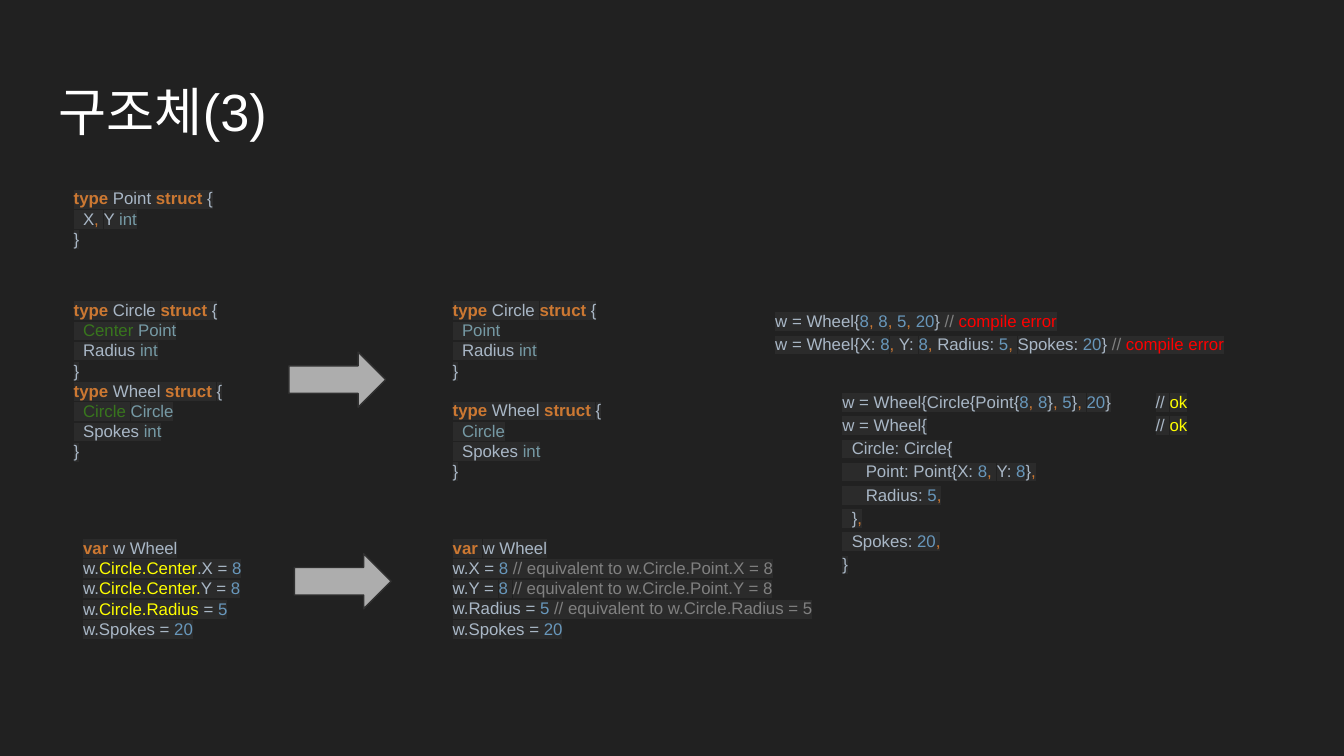
"""Build a dark slide that compares plain and embedded Go structs."""
from typing import NamedTuple

from lxml import etree
from pptx import Presentation
from pptx.dml.color import RGBColor
from pptx.enum import shapes, text
from pptx.oxml import ns
from pptx.util import Inches, Pt

CELL = Inches(0.1)
COLUMNS, ROWS = 100, 56.25
FONT = "Arial"
BACKGROUND = RGBColor(0x21, 0x21, 0x21)
WHITE = RGBColor(0xFF, 0xFF, 0xFF)
HIGHLIGHT = RGBColor(0x2B, 0x2B, 0x2B)
ARROW_FILL = RGBColor(0xAD, 0xAD, 0xAD)
ARROW_LINE = RGBColor(0x30, 0x30, 0x30)
PLAIN = RGBColor(0xA9, 0xB7, 0xC6)
KEYWORD = RGBColor(0xCC, 0x78, 0x32)
INKS = {
    "key": KEYWORD,
    "sep": KEYWORD,
    "type": RGBColor(0x76, 0x9A, 0xA5),
    "field": RGBColor(0x38, 0x76, 0x1D),
    "num": RGBColor(0x68, 0x97, 0xBB),
    "note": RGBColor(0x80, 0x80, 0x80),
    "mark": RGBColor(0xFF, 0xFF, 0x00),
    "error": RGBColor(0xFF, 0x00, 0x00),
}


class Area(NamedTuple):
    """A rectangle in grid columns and rows."""

    left: float
    top: float
    width: float
    height: float

    def emu(self) -> list[int]:
        """Return the rectangle in slide units."""
        return [round(value * CELL) for value in self]


class Line(NamedTuple):
    """A code line: spans split by "|", each with an optional "ink~" prefix."""

    markup: str
    tabs: tuple[float, ...] = ()
    space_before: float = 0


class Code(NamedTuple):
    """A block of code lines."""

    area: Area
    lines: list[Line]
    indent: float = 0
    line_spacing: float = 1.0


def struct(name: str, *members: str, space_before: float = 0) -> list[Line]:
    """Return the lines of a struct declaration."""
    head = Line(f"key~type |{name} |key~struct |{{", space_before=space_before)
    return [head, *(Line(f"  |{member}") for member in members), Line("}")]


def numbers(*values: int) -> str:
    """Return comma-separated numbers as markup."""
    return "|sep~, |".join(f"num~{value}" for value in values)


def add_box(page, area: Area):
    """Add a wrapping text box and return its text frame."""
    frame = page.shapes.add_textbox(*area.emu()).text_frame
    frame.word_wrap = True
    frame.margin_left = frame.margin_right = CELL
    frame.margin_top = frame.margin_bottom = CELL
    return frame


def add_span(para, markup: str) -> None:
    """Add one highlighted span of code."""
    ink, mark, words = markup.rpartition("~")
    span = para.add_run()
    span.text = words
    span.font.color.rgb = INKS[ink] if mark else PLAIN
    if ink == "key":
        span.font.bold = True
    highlight = etree.SubElement(span.font._element, ns.qn("a:highlight"))
    etree.SubElement(highlight, ns.qn("a:srgbClr"), val=str(HIGHLIGHT))


def add_code(page, code: Code) -> None:
    """Draw a block of code, one paragraph a line."""
    frame = add_box(page, code.area)
    for number, line in enumerate(code.lines):
        para = frame.add_paragraph() if number else frame.paragraphs[0]
        para.line_spacing = code.line_spacing
        para.space_before = Pt(line.space_before)
        properties = para._p.get_or_add_pPr()
        properties.set("indent", str(round(code.indent * CELL)))
        if line.tabs:
            stops = etree.SubElement(properties, ns.qn("a:tabLst"))
            for tab in line.tabs:
                etree.SubElement(stops, ns.qn("a:tab"), pos=str(round(tab * CELL)), algn="l")
        para.font.name = FONT
        para.font.size = Pt(9)
        for markup in line.markup.split("|"):
            add_span(para, markup)


def add_title(page, words: str) -> None:
    """Draw the slide title."""
    para = add_box(page, Area(3.4, 4.9, 93.2, 6.3)).paragraphs[0]
    para.text = words
    para.font.name = FONT
    para.font.size = Pt(28)
    para.font.color.rgb = WHITE


def add_arrow(page, area: Area) -> None:
    """Draw a block arrow pointing right."""
    arrow = page.shapes.add_shape(shapes.MSO_SHAPE.RIGHT_ARROW, *area.emu())
    arrow.shadow.inherit = False
    arrow.fill.solid()
    arrow.fill.fore_color.rgb = ARROW_FILL
    arrow.line.color.rgb = ARROW_LINE
    arrow.line.width = Pt(0.75)
    arrow.text_frame.vertical_anchor = text.MSO_ANCHOR.MIDDLE


RADIUS = "Radius |type~int"
SPOKES = "Spokes |type~int"
DECLARE = Line("key~var |w Wheel")
SET_SPOKES = Line("w.Spokes = |num~20")
ERROR = "|} |note~// |error~compile error"
EQUIVALENT = "|note~// equivalent to w.Circle."

CODES = [
    Code(Area(4.5, 13, 32.1, 14.3), struct("Point", "X|sep~, |Y |type~int")),
    Code(Area(4.5, 21.3, 32.1, 14.3),
         struct("Circle", "field~Center| |type~Point", RADIUS)
         + struct("Wheel", "field~Circle |type~Circle", SPOKES)),
    Code(Area(32.7, 21.3, 32.1, 14.3),
         struct("Circle", "type~Point", RADIUS)
         + struct("Wheel", "type~Circle", SPOKES, space_before=10.5)),
    Code(Area(5.2, 39, 32.1, 11.9), [
        DECLARE,
        Line("w.|mark~Circle.Center|.X = |num~8"),
        Line("w.|mark~Circle.Center.|Y = |num~8"),
        Line("w.|mark~Circle.Radius| = |num~5"),
        SET_SPOKES,
    ]),
    Code(Area(32.7, 39, 32.1, 10.3), [
        DECLARE,
        *(Line(f"w.{field} = |num~{value} {EQUIVALENT}{owner}{field} = {value}")
          for field, value, owner in [("X", 8, "Point."), ("Y", 8, "Point."), ("Radius", 5, "")]),
        SET_SPOKES,
    ]),
    Code(Area(50, 21.9, 42.4, 6.5), [
        Line(f"w = Wheel{{|{numbers(8, 8, 5, 20)}{ERROR}"),
        Line("w = Wheel{X: |num~8|sep~, |Y: |num~8|sep~, |Radius: |num~5|sep~, "
             f"|Spokes: |num~20{ERROR}"),
    ], indent=6.7, line_spacing=1.15),
    Code(Area(55, 27.9, 42.4, 15.7), [
        Line(f"w = Wheel{{Circle{{Point{{|{numbers(8, 8)}|}}|sep~, |num~5|}}|sep~, "
             "|num~20|}\t// |mark~ok", tabs=(30,)),
        Line("w = Wheel{\t\t\t\t// |mark~ok", tabs=(18.8, 23.8, 28.8, 33.8)),
        Line("  Circle: Circle{"),
        Line("     Point: Point{X: |num~8|sep~, |Y: |num~8|}|sep~,"),
        Line("     Radius: |num~5|sep~,"),
        Line("  }|sep~,"),
        Line("  Spokes: |num~20|sep~,"),
        Line("}"),
    ], indent=6.7, line_spacing=1.15),
]
ARROWS = [Area(21.5, 26.2, 7.2, 4.1), Area(21.9, 41.2, 7.2, 4.1)]


def main() -> None:
    """Build the deck and save it."""
    deck = Presentation()
    deck.slide_width, deck.slide_height = round(COLUMNS * CELL), round(ROWS * CELL)
    page = deck.slides.add_slide(deck.slide_layouts[6])
    page.background.fill.solid()
    page.background.fill.fore_color.rgb = BACKGROUND
    add_title(page, "구조체(3)")
    for code in CODES:
        add_code(page, code)
    for arrow in ARROWS:
        add_arrow(page, arrow)
    deck.save("out.pptx")


if __name__ == "__main__":
    main()
